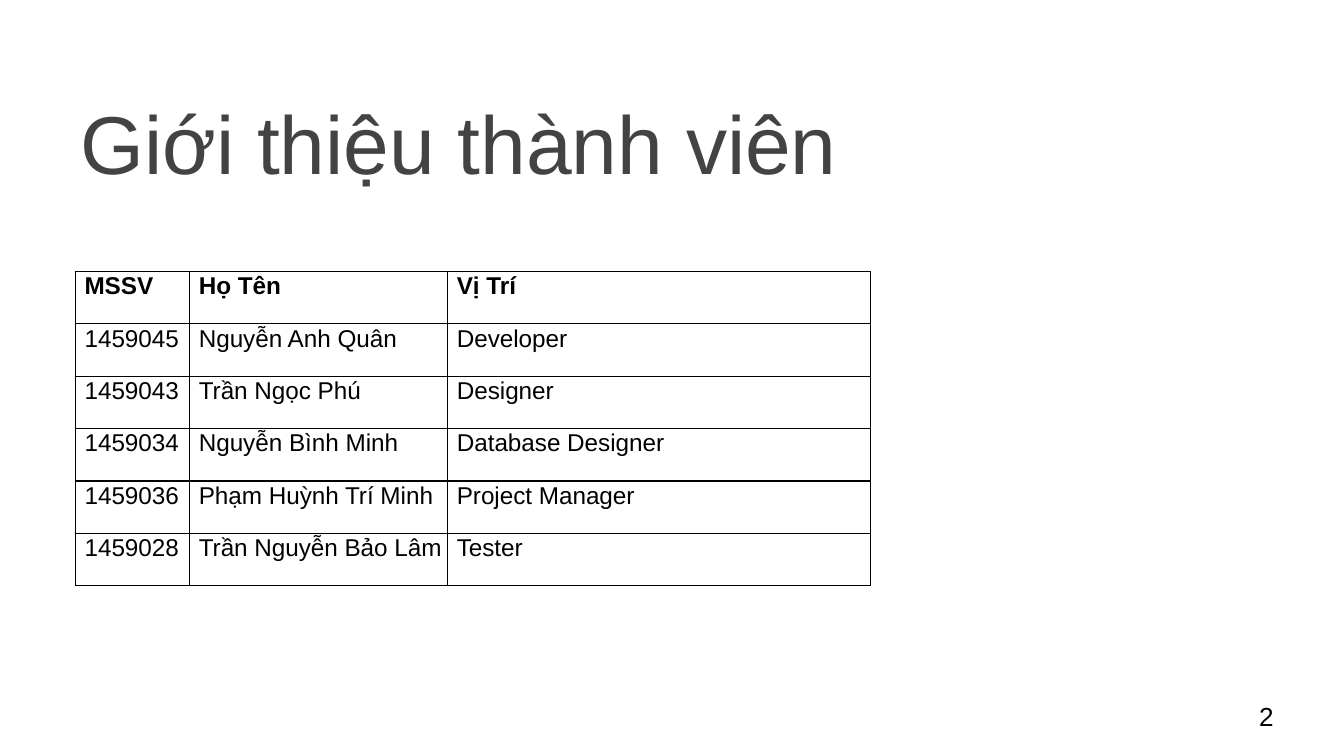
from dataclasses import dataclass

from lxml.etree import SubElement
from pptx import Presentation
from pptx.dml.color import RGBColor
from pptx.enum.text import MSO_ANCHOR as Anchor
from pptx.oxml.ns import qn
from pptx.util import Inches, Pt


@dataclass(frozen=True)
class Theme:
    font: str = "Arial"
    title_color: str = "434343"
    ink: str = "000000"
    paper: str = "FFFFFF"
    title_size: float = 44
    number_size: float = 14
    table_size: float = 13
    table_leading: float = 15.2
    border_width: float = 0.75


class SlideBuilder:
    def __init__(self, prs, theme):
        self.theme = theme
        self.slide = prs.slides.add_slide(prs.slide_layouts[6])
        fill = self.slide.background.fill
        fill.solid()
        fill.fore_color.rgb = RGBColor.from_string(theme.paper)

    def style(self, p, size, color, bold=False):
        p.font.name = self.theme.font
        p.font.size = Pt(size)
        p.font.bold = bold
        p.font.color.rgb = RGBColor.from_string(color)

    def text(self, text, left, top, width, height, size, color, anchor):
        box = self.slide.shapes.add_textbox(
            Inches(left), Inches(top), Inches(width), Inches(height))
        tf = box.text_frame
        tf.word_wrap = True
        tf.vertical_anchor = anchor
        tf.margin_left = tf.margin_right = Inches(0.1)
        tf.margin_top = tf.margin_bottom = Inches(0.1)
        p = tf.paragraphs[0]
        p.text = text
        self.style(p, size, color)

    def table(self, rows, left, top, col_widths, row_height):
        frame = self.slide.shapes.add_table(
            len(rows), len(col_widths), Inches(left), Inches(top),
            Inches(sum(col_widths)), Inches(row_height * len(rows)))
        table = frame.table
        for column, width in zip(table.columns, col_widths):
            column.width = Inches(width)
        for i, values in enumerate(rows):
            table.rows[i].height = Inches(row_height)
            for j, value in enumerate(values):
                self.cell(table.cell(i, j), value, bold=i == 0)

    def cell(self, cell, text, bold):
        cell.margin_left = Inches(0.07)
        cell.margin_right = cell.margin_top = cell.margin_bottom = 0
        self.borders(cell)
        cell.fill.background()
        p = cell.text_frame.paragraphs[0]
        p.text = text
        p.line_spacing = Pt(self.theme.table_leading)
        self.style(p, self.theme.table_size, self.theme.ink, bold)

    def borders(self, cell):
        tc_pr = cell._tc.get_or_add_tcPr()
        for side in ("a:lnL", "a:lnR", "a:lnT", "a:lnB"):
            line = SubElement(tc_pr, qn(side), w=str(Pt(self.theme.border_width)))
            fill = SubElement(line, qn("a:solidFill"))
            SubElement(fill, qn("a:srgbClr"), val=self.theme.ink)


MEMBERS = [
    ("MSSV", "Họ Tên", "Vị Trí"),
    ("1459045", "Nguyễn Anh Quân", "Developer"),
    ("1459043", "Trần Ngọc Phú", "Designer"),
    ("1459034", "Nguyễn Bình Minh", "Database Designer"),
    ("1459036", "Phạm Huỳnh Trí Minh", "Project Manager"),
    ("1459028", "Trần Nguyễn Bảo Lâm", "Tester"),
]


def main():
    prs = Presentation()
    prs.slide_width = Inches(10)
    prs.slide_height = Inches(10 * 9 / 16)
    theme = Theme()
    s = SlideBuilder(prs, theme)
    s.text("Giới thiệu thành viên", 0.5, 0.58, 6.03, 0.94,
           theme.title_size, theme.title_color, Anchor.BOTTOM)
    s.text("2", 9.27, 5.11, 0.6, 0.43,
           theme.number_size, theme.ink, Anchor.MIDDLE)
    s.table(MEMBERS, 0.56, 2.02, (0.85, 1.92, 3.15), 0.39)
    prs.save("out.pptx")


if __name__ == "__main__":
    main()
